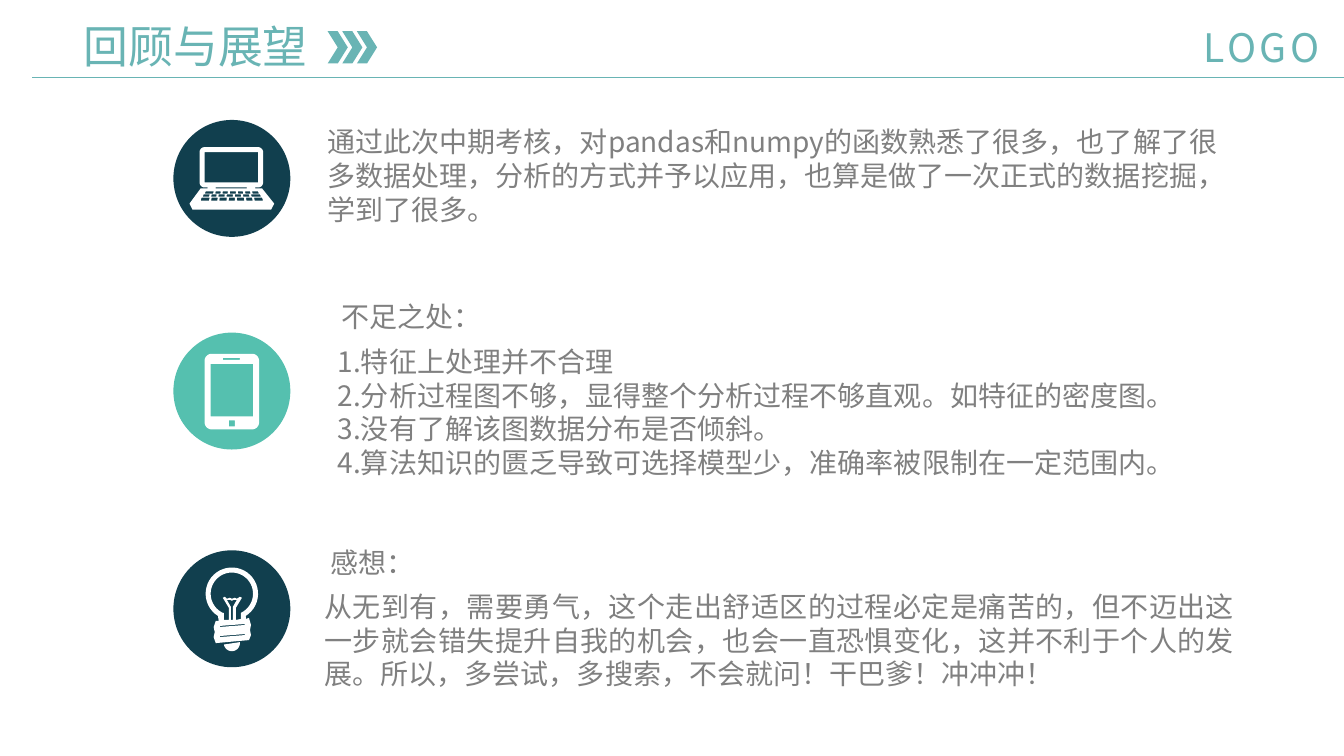
"""Build the review and outlook slide: a title bar and three icon rows."""
from math import cos, radians, sin
from lxml import etree
from pptx import Presentation
from pptx.dml.color import RGBColor
from pptx.enum.shapes import MSO_CONNECTOR, MSO_SHAPE
from pptx.enum.text import MSO_ANCHOR, MSO_AUTO_SIZE, PP_ALIGN
from pptx.oxml.ns import qn
from pptx.util import Inches, Pt

LINE, OVAL, ARROW = MSO_CONNECTOR.STRAIGHT, MSO_SHAPE.OVAL, MSO_SHAPE.CHEVRON
TOP, MID, FIXED = MSO_ANCHOR.TOP, MSO_ANCHOR.MIDDLE, MSO_AUTO_SIZE.NONE
LEFT, RIGHT, FULL = PP_ALIGN.LEFT, PP_ALIGN.RIGHT, PP_ALIGN.JUSTIFY

THEME = {
    "font": "Noto Sans CJK SC",
    "teal": RGBColor.from_string("69B4B4"),
    "navy": RGBColor.from_string("113F4E"),
    "mint": RGBColor.from_string("55C0AF"),
    "gray": RGBColor.from_string("808080"),
    "white": RGBColor.from_string("FFFFFF"),
    "title": Pt(32), "logo": Pt(28), "body": Pt(20), "rule": Pt(0.5),
}


def arc(x, y, r, start, end, step=10):
    """Return points along an arc, with angles in degrees."""
    return [(x + r * cos(radians(a)), y + r * sin(radians(a)))
            for a in range(start, end + 1, step)]


def box(x1, y1, x2, y2, r=0):
    """Return the outline of a box, with round corners if r is set."""
    if not r:
        return [(x1, y1), (x2, y1), (x2, y2), (x1, y2)]
    return (arc(x1 + r, y1 + r, r, 180, 270) + arc(x2 - r, y1 + r, r, 270, 360)
            + arc(x2 - r, y2 - r, r, 0, 90) + arc(x1 + r, y2 - r, r, 90, 180))


deck = Presentation()
deck.slide_width, deck.slide_height = Inches(13.33), Inches(7.5)
slide = deck.slides.add_slide(deck.slide_layouts[5])
shapes = slide.shapes

rule = shapes.add_connector(LINE, Inches(0.32), Inches(0.77), Inches(13.33), Inches(0.77))
rule.line.color.rgb, rule.line.width = THEME["teal"], THEME["rule"]
etree.SubElement(rule._element.spPr, qn("a:effectLst"))

mid = 2.3
laptop = [
    box(1.98, 1.46, 2.61, 1.86, 0.05), box(2.03, 1.51, 2.56, 1.81),
    box(2.06, 1.86, 2.14, 1.87), box(2.45, 1.86, 2.53, 1.87),
    [(1.99, 1.87), (2.6, 1.87), (2.72, 2.02), (2.69, 2.08), (1.91, 2.08), (1.88, 2.02)],
]
keys = [
    (1.9, 1.92, [2.04, 2.14, 2.21, 2.28, 2.36, 2.43, 2.5, 2.58]),
    (1.93, 1.95, [2.02, 2.1, 2.17, 2.25, 2.33, 2.41, 2.49, 2.6]),
    (1.96, 1.99, [2, 2.1, 2.18, 2.27, 2.35, 2.44, 2.52, 2.62]),
]
for top, low, cuts in keys:
    for a, b in zip(cuts, cuts[1:]):
        b -= 0.02
        laptop.append([(a, top), (b, top), (b + (b - mid) * 0.03, low),
                       (a + (a - mid) * 0.03, low)])

phone = [box(2.03, 3.51, 2.57, 4.26, 0.07), box(2.27, 4.17, 2.33, 4.23),
         box(2.21, 3.55, 2.38, 3.57), box(2.09, 3.61, 2.51, 4.13)]

bulb = [
    arc(mid, 5.89, 0.26, 122, 418, 8) + [
        (2.44, 6.14), (2.47, 6.13), (2.49, 6.2), (2.48, 6.25), (2.49, 6.3), (2.47, 6.35),
        (2.14, 6.38), (2.12, 6.32), (2.13, 6.27), (2.12, 6.22), (2.14, 6.16), (2.17, 6.16)],
    arc(mid, 5.89, 0.21, 116, 424, 7) + [
        (2.39, 6.08), (2.39, 6.14), (2.34, 6.15), (2.34, 6.03), (2.4, 5.93), (2.38, 5.92),
        (2.35, 5.94), (2.33, 5.93), (2.3, 5.94), (2.28, 5.93), (2.25, 5.94), (2.23, 5.92),
        (2.21, 5.93), (2.27, 6.03), (2.27, 6.15), (2.22, 6.15), (2.22, 6.08)],
    [(2.25, 5.95), (2.28, 5.95), (2.3, 5.96), (2.32, 5.95), (2.35, 5.95),
     (2.31, 6.02), (2.31, 6.15), (2.29, 6.15), (2.29, 6.02)],
    [(2.38, 6.37)] + arc(mid, 6.38, 0.08, 0, 170),
]
for y in (6.19, 6.29):
    bulb.append([(2.43, y), (2.43, y + 0.01), (2.18, y + 0.03), (2.18, y + 0.02)])

filled = [(shapes.add_shape(ARROW, Inches(3.25 + 0.145 * i), Inches(0.31),
                            Inches(0.2), Inches(0.32)), "teal") for i in range(3)]
for y, tint, icon in [(1.19, "navy", laptop), (3.3, "mint", phone), (5.46, "navy", bulb)]:
    disc = shapes.add_shape(OVAL, Inches(1.72), Inches(y), Inches(1.16), Inches(1.16))
    pen = None
    for loop in icon:
        first, *rest = [(Inches(px), Inches(py)) for px, py in loop]
        if pen is None:
            pen = shapes.build_freeform(*first)
        else:
            pen.move_to(*first)
        pen.add_line_segments(rest, close=True)
    filled += [(disc, tint), (pen.convert_to_shape(), "white")]
for shape, tint in filled:
    shape.shadow.inherit = False
    shape.fill.solid()
    shape.fill.fore_color.rgb = THEME[tint]
    shape.line.fill.background()

plain = {"size": "body", "tint": "gray", "wrap": True, "align": LEFT}
label = plain | {"wrap": False, "align": RIGHT}
block = plain | {"align": FULL}
texts = [
    ((0.83, 0.18, 2.81, 0.54), ["回顾与展望"],
     plain | {"size": "title", "tint": "teal", "anchor": MID, "pad": (0, 0)}),
    ((11.86, 0.19, 1.42, 0.55), ["LOGO"],
     plain | {"size": "logo", "tint": "teal", "wrap": False, "pad": (0.08, 0.04), "gap": "250"}),
    ((3.15, 1.19, 9.22, 1.11),
     ["通过此次中期考核，对pandas和numpy的函数熟悉了很多，也了解了很多数据处理，"
      "分析的方式并予以应用，也算是做了一次正式的数据挖掘，学到了很多。"], plain),
    ((3.28, 2.92, 1.6, 0.77), ["不足之处："], label),
    ((3.25, 3.37, 9.22, 1.68),
     ["1.特征上处理并不合理",
      "2.分析过程图不够，显得整个分析过程不够直观。如特征的密度图。",
      "3.没有了解该图数据分布是否倾斜。",
      "4.算法知识的匮乏导致可选择模型少，准确率被限制在一定范围内。"], block),
    ((3.17, 5.36, 1.04, 0.44), ["感想："], label),
    ((3.12, 5.8, 9.22, 1.11),
     ["从无到有，需要勇气，这个走出舒适区的过程必定是痛苦的，但不迈出这一步就会错失提升自我的机会，"
      "也会一直恐惧变化，这并不利于个人的发展。所以，多尝试，多搜索，不会就问！干巴爹！冲冲冲！"], block),
]
for i, (place, lines, form) in enumerate(texts):
    place = [Inches(v) for v in place]
    field = shapes.add_textbox(*place) if i else shapes.title
    field.left, field.top, field.width, field.height = place
    frame = field.text_frame
    side, edge = [Inches(v) for v in form.get("pad", (0.1, 0.05))]
    looks = {"word_wrap": form["wrap"], "auto_size": FIXED,
             "vertical_anchor": form.get("anchor", TOP), "margin_left": side,
             "margin_right": side, "margin_top": edge, "margin_bottom": edge}
    for name, value in looks.items():
        setattr(frame, name, value)
    for n, line in enumerate(lines):
        para = frame.add_paragraph() if n else frame.paragraphs[0]
        para.alignment = form["align"]
        run = para.add_run()
        run.text = line
        for name, value in {"name": THEME["font"], "size": THEME[form["size"]]}.items():
            setattr(run.font, name, value)
        run.font.color.rgb = THEME[form["tint"]]
        props = run._r.get_or_add_rPr()
        etree.SubElement(props, qn("a:ea"), typeface=THEME["font"])
        if "gap" in form:
            props.set("spc", form["gap"])

deck.save("out.pptx")
